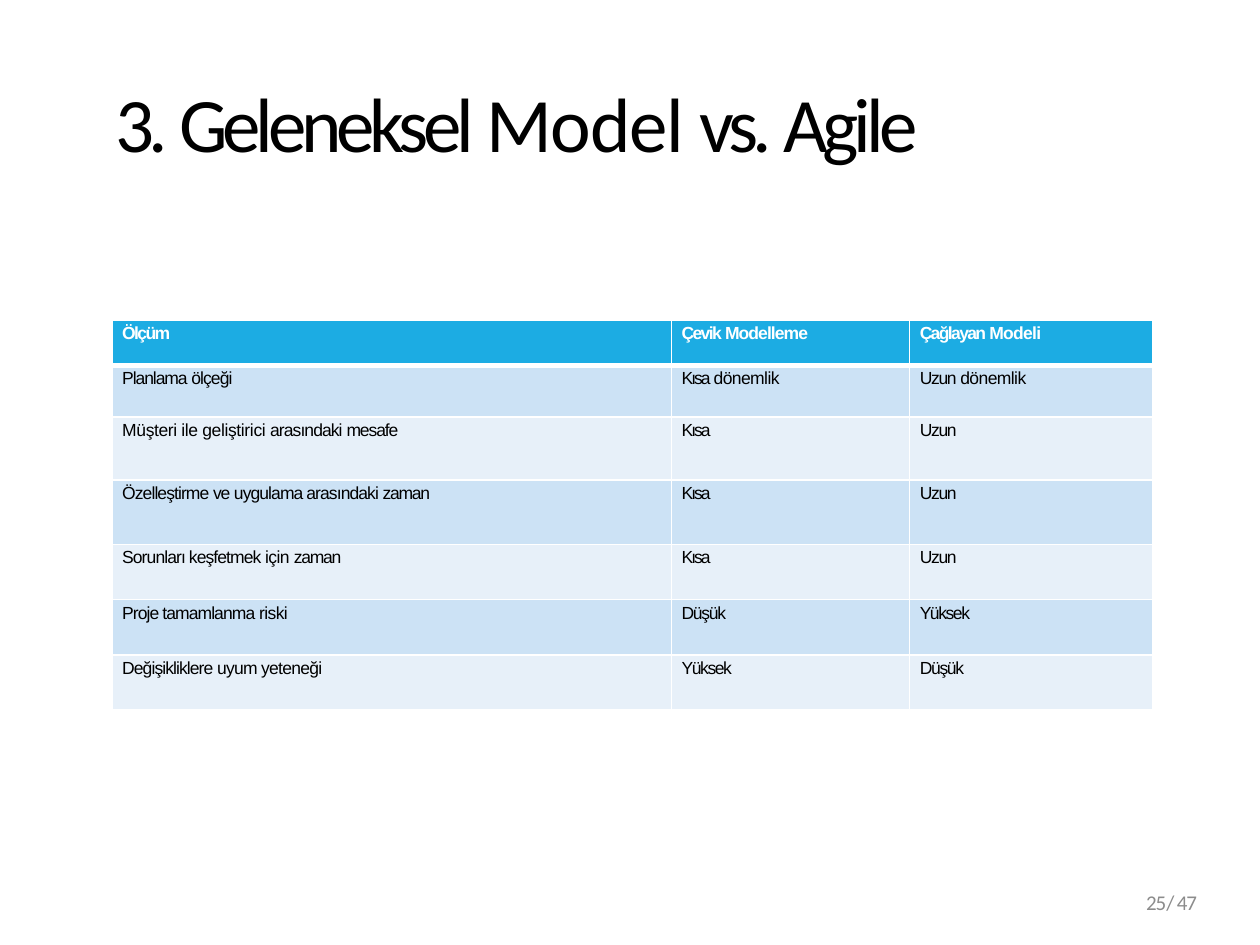
from dataclasses import dataclass

from lxml.etree import SubElement
from pptx import Presentation
from pptx.dml.color import RGBColor
from pptx.enum.text import MSO_ANCHOR as Anchor, PP_ALIGN as Align
from pptx.oxml.ns import qn
from pptx.util import Inches, Pt


@dataclass(frozen=True)
class Theme:
    heading_font: str = "Calibri"
    table_font: str = "Arial"
    title_size: float = 44
    number_size: float = 12
    table_size: float = 10
    text: str = "000000"
    muted: str = "8C8C8C"
    white: str = "FFFFFF"
    header: str = "1CACE3"
    bands: tuple = ("CCE2F5", "E7F0F9")
    thin: float = 1
    thick: float = 3


def set_values(target, values):
    for name, value in values.items():
        setattr(target, name, value)


class SlideBuilder:
    def __init__(self, slide, theme):
        self.slide = slide
        self.theme = theme

    def add_runs(self, paragraph, runs, font, size, color, bold=False):
        """Add (text, letter spacing in points) runs that share one font."""
        for text, spacing in runs:
            run = paragraph.add_run()
            run.text = text
            set_values(run.font, {"name": font, "size": Pt(size), "bold": bold})
            run.font.color.rgb = RGBColor.from_string(color)
            run._r.get_or_add_rPr().set("spc", str(round(spacing * 100)))

    def text_box(self, place, margins, runs, size, color, **paragraph_format):
        shape = self.slide.shapes.add_textbox(*map(Inches, place))
        left, top = map(Inches, margins)
        frame = shape.text_frame
        set_values(frame, {
            "word_wrap": True, "vertical_anchor": Anchor.MIDDLE,
            "margin_left": left, "margin_top": top,
            "margin_right": 0, "margin_bottom": 0,
        })
        paragraph = frame.paragraphs[0]
        set_values(paragraph, paragraph_format)
        self.add_runs(paragraph, runs, self.theme.heading_font, size, color)

    def border(self, cell, side, width):
        properties = cell._tc.get_or_add_tcPr()
        line = SubElement(properties, qn(f"a:ln{side}"), w=str(Pt(width)))
        fill = SubElement(line, qn("a:solidFill"))
        SubElement(fill, qn("a:srgbClr"), val=self.theme.white)

    def cell(self, cell, row, runs):
        theme = self.theme
        is_header = row == 0
        set_values(cell, {
            "margin_left": Inches(0.08), "margin_top": Inches(0.03),
            "margin_right": 0, "margin_bottom": 0,
        })
        widths = {
            "L": theme.thin, "R": theme.thin,
            "T": theme.thick if row == 1 else theme.thin,
            "B": theme.thick if is_header else theme.thin,
        }
        for side, width in widths.items():
            self.border(cell, side, width)
        fill = theme.header if is_header else theme.bands[(row - 1) % 2]
        cell.fill.solid()
        cell.fill.fore_color.rgb = RGBColor.from_string(fill)
        color = theme.white if is_header else theme.text
        self.add_runs(cell.text_frame.paragraphs[0], runs, theme.table_font,
                      theme.table_size, color, bold=is_header)

    def table(self, left, top, column_widths, row_heights, rows):
        table = self.slide.shapes.add_table(
            len(rows), len(column_widths), Inches(left), Inches(top),
            Inches(sum(column_widths)), Inches(sum(row_heights))).table
        for column, width in zip(table.columns, column_widths):
            column.width = Inches(width)
        for row, height in zip(table.rows, row_heights):
            row.height = Inches(height)
        for row_index, row in enumerate(rows):
            for column_index, runs in enumerate(row):
                self.cell(table.cell(row_index, column_index), row_index, runs)


SHORT = [("Kısa", -1.1)]
LONG = [("Uzun", -0.7)]
LOW = [("Düşük", -0.7)]
HIGH = [("Yüksek", -0.8)]
TERM = ("dönemlik", -0.3)
TIME = ("zaman", -0.7)

COMPARISON = [
    ([("Ölçüm", -0.9)],
     [("Çevik ", -0.9), ("Modelleme", -0.5)],
     [("Çağlayan ", -0.9), ("Modeli", -0.4)]),
    ([("Planlama ", -0.6), ("ölçeği", -0.5)],
     [("Kısa ", -1.1), TERM],
     [("Uzun ", -0.7), TERM]),
    ([("Müşteri ile geliştirici ", -0.2), ("arasındaki ", -0.5),
      ("mesafe", -0.6)], SHORT, LONG),
    ([("Özelleştirme ", -0.5), ("ve ", -0.7),
      ("uygulama arasındaki ", -0.5), TIME], SHORT, LONG),
    ([("Sorunları keşfetmek ", -0.5), ("için ", -0.3), TIME], SHORT, LONG),
    ([("Proje tamamlanma ", -0.5), ("riski", -0.3)], LOW, HIGH),
    ([("Değişikliklere ", -0.5), ("uyum yeteneği", -0.4)], HIGH, LOW),
]
TITLE = [("3. ", -3.6), ("Geleneksel ", -3), ("Model ", -0.8),
         ("vs. ", -3.5), ("Agile", -2.9)]
PAGE_NUMBER = [("25", -0.6), ("/", 1.3), ("47", -0.6)]


def main():
    presentation = Presentation()
    set_values(presentation, {"slide_width": Inches(10),
                              "slide_height": Inches(7.5)})
    slide = presentation.slides.add_slide(presentation.slide_layouts[6])
    theme = Theme()
    builder = SlideBuilder(slide, theme)
    builder.text_box((0.5, 0.3, 9, 1.25), (0.42, 0.08), TITLE,
                     theme.title_size, theme.text, alignment=Align.LEFT)
    builder.text_box((7.17, 6.95, 2.33, 0.4), (0, 0.05), PAGE_NUMBER,
                     theme.number_size, theme.muted,
                     alignment=Align.RIGHT, line_spacing=Pt(12.4))
    builder.table(0.89, 2.54, (4.44, 1.89, 1.93),
                  (0.36, 0.41, 0.5, 0.51, 0.44, 0.44, 0.43), COMPARISON)
    presentation.save("out.pptx")


if __name__ == "__main__":
    main()
